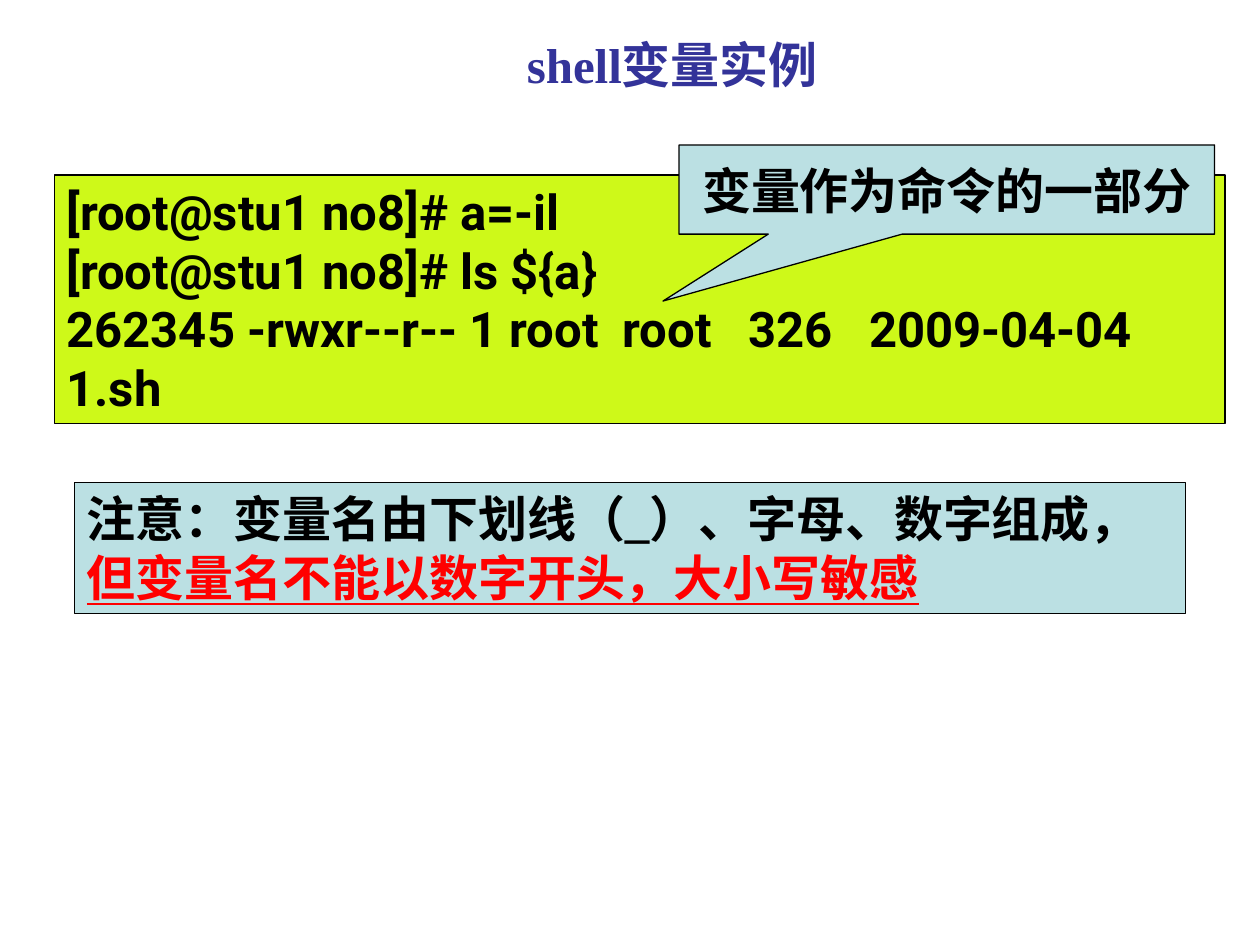
from pptx import Presentation
from pptx.dml.color import RGBColor
from pptx.enum.shapes import MSO_SHAPE
from pptx.enum.text import MSO_ANCHOR, PP_ALIGN
from pptx.util import Pt

RECTANGLE = MSO_SHAPE.RECTANGLE
CALLOUT = MSO_SHAPE.RECTANGULAR_CALLOUT
TOP, MIDDLE = MSO_ANCHOR.TOP, MSO_ANCHOR.MIDDLE
LEFT, CENTER = PP_ALIGN.LEFT, PP_ALIGN.CENTER

THEME = {
    "title": RGBColor(0x33, 0x33, 0x99),
    "text": RGBColor(0, 0, 0),
    "warning": RGBColor(0xFF, 0, 0),
    "terminal": RGBColor(0xCE, 0xF9, 0x19),
    "panel": RGBColor(0xBB, 0xE0, 0xE3),
    "serif": "Times New Roman",
    "sans": "Roboto",
    "size": Pt(28),
    "border": Pt(0.75),
}

TITLE = "shell变量实例"
SESSION = [
    "[root@stu1 no8]# a=-il",
    "[root@stu1 no8]# ls ${a}",
    "262345 -rwxr--r-- 1 root  root   326   2009-04-04 1.sh",
]
CALLOUT_TEXT = "变量作为命令的一部分"
NAMING_RULE = "注意：变量名由下划线（_）、字母、数字组成，"
NAMING_WARNING = "但变量名不能以数字开头，大小写敏感"

TITLE_BOX = (48.24, 15.12, 671.76, 43.2)
SESSION_BOX = (31, 100, 669, 142)
CALLOUT_BOX = (388, 82.8, 306, 51)
CALLOUT_TIP = (-0.53, 1.25)
NOTE_BOX = (42.5, 275.8, 635, 74.9)


def write(shape, lines, font_name="serif", color="text", align=LEFT, anchor=TOP):
    frame = shape.text_frame
    frame.word_wrap = True
    frame.vertical_anchor = anchor
    frame.text = "\n".join(lines)
    for paragraph in frame.paragraphs:
        paragraph.alignment = align
        paragraph.font.name = THEME[font_name]
        paragraph.font.size = THEME["size"]
        paragraph.font.bold = True
        paragraph.font.color.rgb = THEME[color]


def add_panel(slide, kind, box, fill):
    panel = slide.shapes.add_shape(kind, *map(Pt, box))
    panel.shadow.inherit = False
    panel.fill.solid()
    panel.fill.fore_color.rgb = THEME[fill]
    panel.line.color.rgb = THEME["text"]
    panel.line.width = THEME["border"]
    return panel


def main():
    deck = Presentation()
    deck.slide_width, deck.slide_height = Pt(720), Pt(540)
    slide = deck.slides.add_slide(deck.slide_layouts[6])

    title = slide.shapes.add_textbox(*map(Pt, TITLE_BOX))
    write(title, [TITLE], color="title", align=CENTER, anchor=MIDDLE)

    session = add_panel(slide, RECTANGLE, SESSION_BOX, "terminal")
    write(session, SESSION, font_name="sans")

    callout = add_panel(slide, CALLOUT, CALLOUT_BOX, "panel")
    callout.adjustments[0], callout.adjustments[1] = CALLOUT_TIP
    write(callout, [CALLOUT_TEXT], align=CENTER, anchor=MIDDLE)

    note = add_panel(slide, RECTANGLE, NOTE_BOX, "panel")
    write(note, [NAMING_RULE])
    warning = note.text_frame.paragraphs[0].add_run()
    warning.text = NAMING_WARNING
    warning.font.color.rgb = THEME["warning"]
    warning.font.underline = True

    deck.save("out.pptx")


if __name__ == "__main__":
    main()
